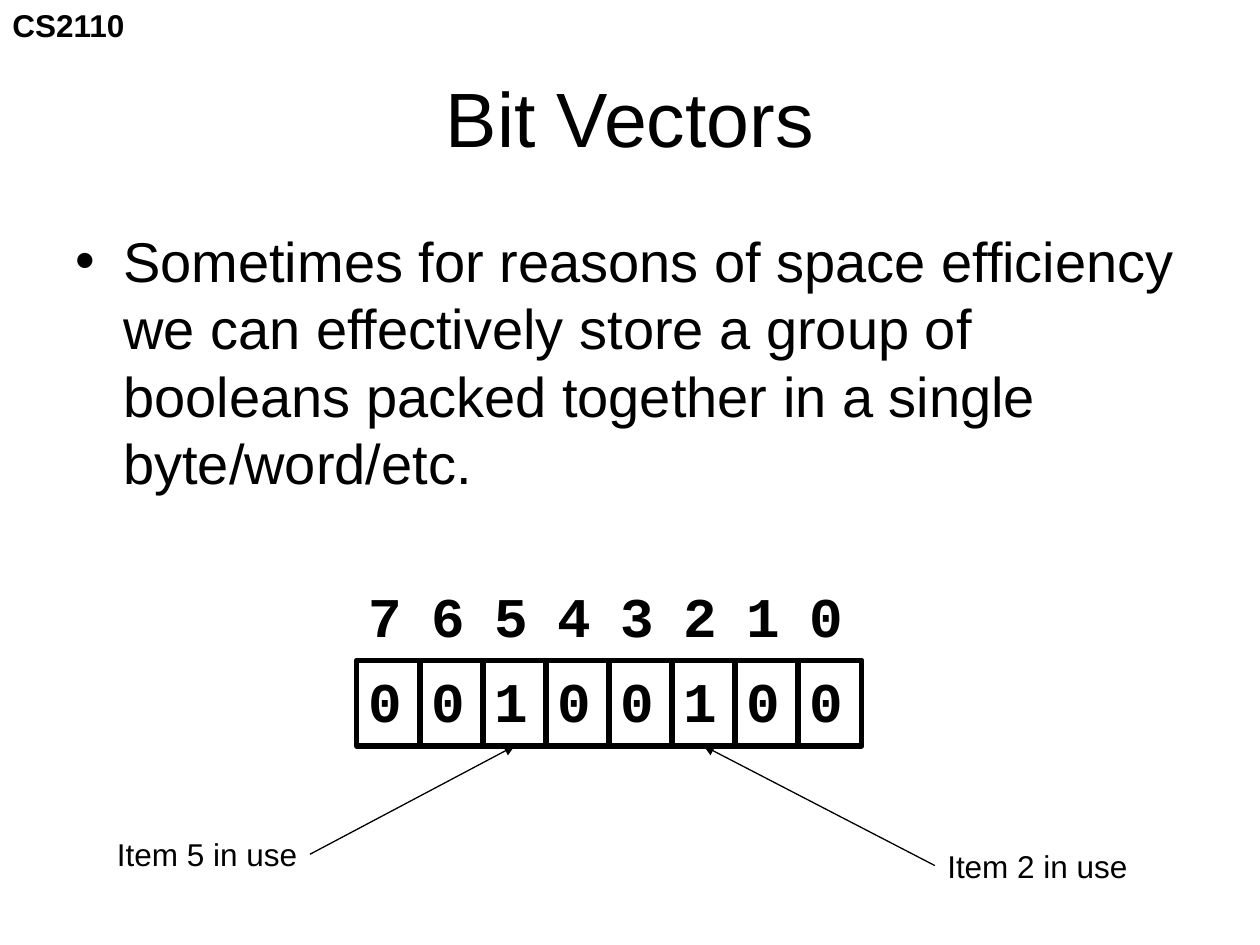
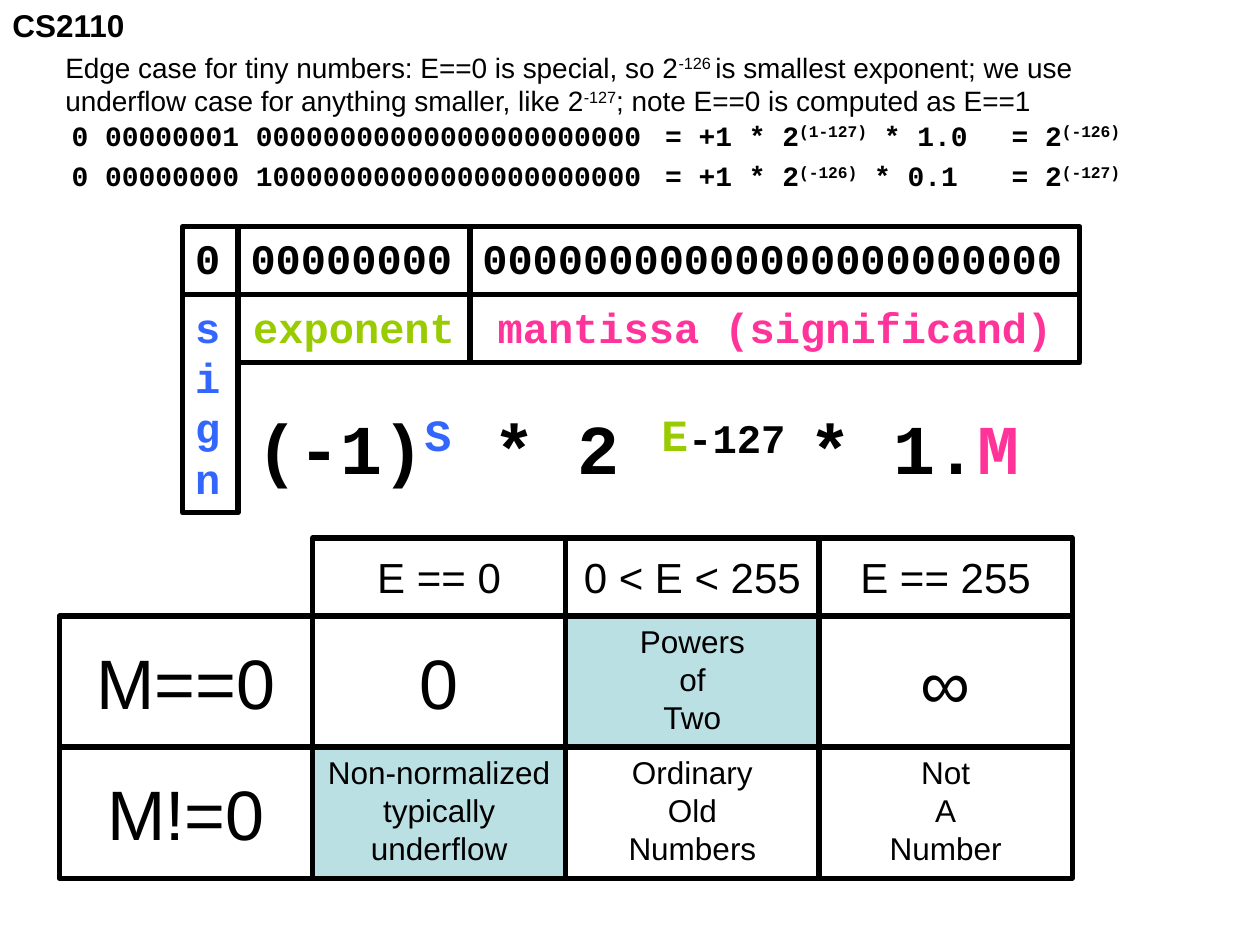
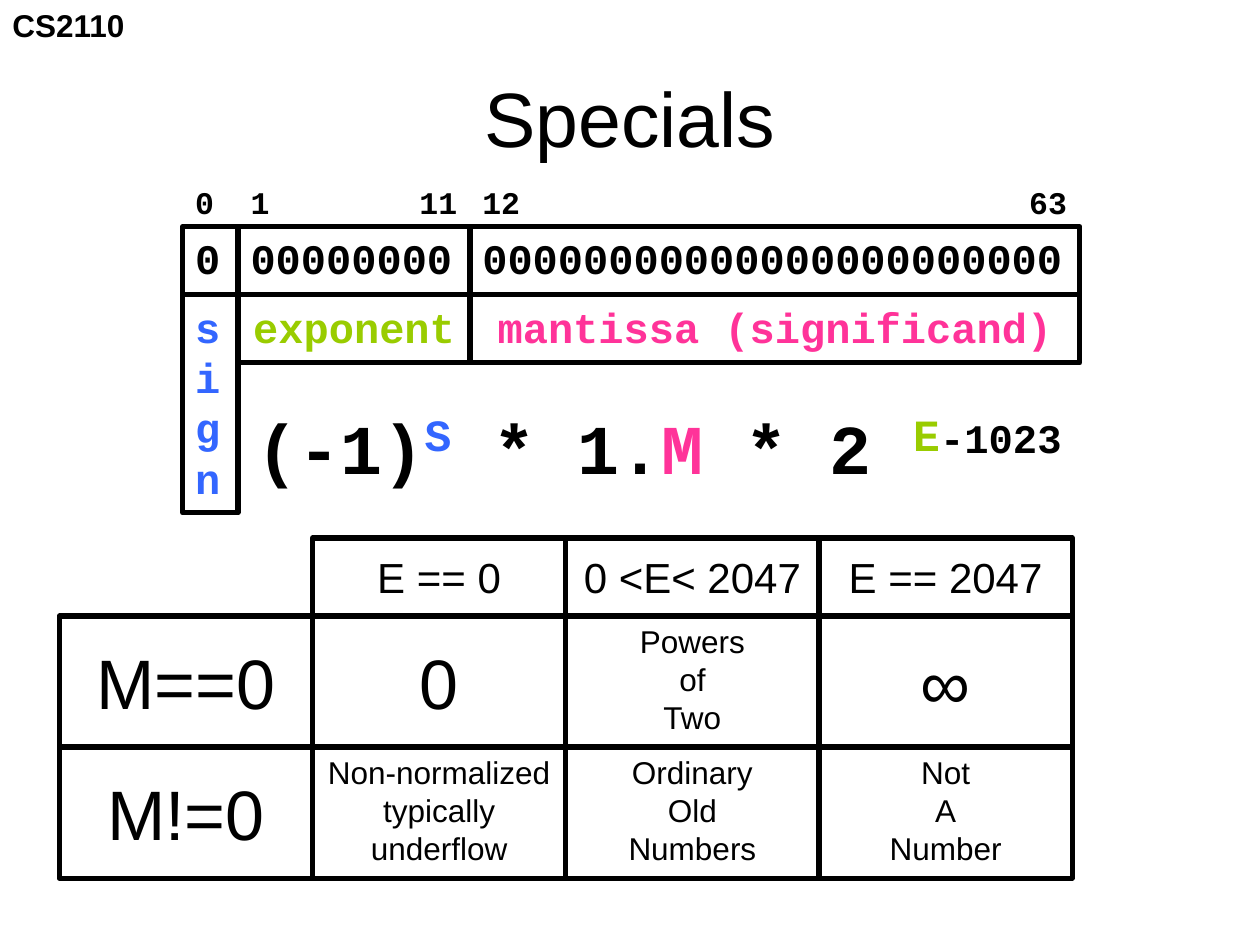
"""Build three lecture slides on bit vectors and floating-point special values."""
from dataclasses import dataclass

from lxml.etree import SubElement
from pptx import Presentation
from pptx.dml.color import RGBColor
from pptx.enum.shapes import MSO_CONNECTOR, MSO_SHAPE
from pptx.enum.text import MSO_ANCHOR, PP_ALIGN
from pptx.oxml.ns import qn
from pptx.util import Inches, Pt


@dataclass(frozen=True)
class Theme:
    ink: str = "000000"
    sign: str = "3366FF"
    exponent: str = "99CC00"
    mantissa: str = "FF3399"
    highlight: str = "BBE0E3"
    sans: str = "Arial"
    mono: str = "Courier New"
    title: int = 44
    formula: int = 40
    body: int = 32
    field: int = 24
    label: int = 18
    note: int = 16
    border: int = 3


theme = Theme()


def write(shape, lines, size, font=theme.sans, color=theme.ink, bold=False,
          align=PP_ALIGN.LEFT, anchor=MSO_ANCHOR.TOP, wrap=False, gap=0, tab=None, bullet=None):
    """Fill a shape with lines; a line is a string or a list of (text, run options)."""
    frame = shape.text_frame
    frame.word_wrap = wrap
    frame.vertical_anchor = anchor
    for number, line in enumerate(lines):
        paragraph = frame.paragraphs[0] if number == 0 else frame.add_paragraph()
        paragraph.alignment = align
        if number and gap:
            paragraph.space_before = Pt(gap)
        properties = paragraph._p.get_or_add_pPr()
        if bullet:
            properties.set("marL", str(Inches(0.38)))
            properties.set("indent", str(-Inches(0.38)))
            SubElement(properties, qn("a:buFont"), typeface=theme.sans)
            SubElement(properties, qn("a:buChar"), char=bullet)
        if tab:
            stops = SubElement(properties, qn("a:tabLst"))
            SubElement(stops, qn("a:tab"), pos=str(Inches(tab)), algn="r")
        paragraph.font.name = font
        paragraph.font.bold = bold
        runs = [(line, {})] if isinstance(line, str) else line
        if not any("size" in options for _, options in runs):
            paragraph.font.size = Pt(size)
        if not any("color" in options for _, options in runs):
            paragraph.font.color.rgb = RGBColor.from_string(color)
        for text, options in runs:
            run = paragraph.add_run()
            run.text = text
            if paragraph.font.size is None:
                run.font.size = Pt(options.get("size", size))
            if paragraph.font.color.type is None:
                run.font.color.rgb = RGBColor.from_string(options.get("color", color))
            if options.get("raised"):
                run._r.get_or_add_rPr().set("baseline", "30000")


def place(slide, at, lines, size, outlined=False, fill=None, **style):
    """Add a text box, or an outlined rectangle, holding the lines."""
    left, top, width, height = map(Inches, at)
    if outlined:
        shape = slide.shapes.add_shape(MSO_SHAPE.RECTANGLE, left, top, width, height)
        shape.shadow.inherit = False
        shape.line.color.rgb = RGBColor.from_string(theme.ink)
        shape.line.width = Pt(theme.border)
        if fill:
            shape.fill.solid()
            shape.fill.fore_color.rgb = RGBColor.from_string(fill)
        else:
            shape.fill.background()
    else:
        shape = slide.shapes.add_textbox(left, top, width, height)
    write(shape, lines, size, **style)
    return shape


prs = Presentation()
prs.slide_width, prs.slide_height = Inches(10), Inches(7.5)
title_only, blank = prs.slide_layouts[5], prs.slide_layouts[6]

slides = []
for heading in ("Bit Vectors", None, "Specials"):
    slide = prs.slides.add_slide(title_only if heading else blank)
    slides.append(slide)
    if heading:
        title = slide.shapes.title
        title.left, title.top, title.width, title.height = map(Inches, (0.5, 0.3, 9, 1.25))
        write(title, [heading], theme.title, align=PP_ALIGN.CENTER,
              anchor=MSO_ANCHOR.MIDDLE, wrap=True)
vectors, edge_case, specials = slides

course = place(vectors, (0, 0, 1.1, 0.4), ["CS2110"], theme.label, bold=True)
prs.slide_master.shapes._spTree.append(course._element)

place(vectors, (0.5, 1.75, 9, 2.42),
      ["Sometimes for reasons of space efficiency we can effectively store a group of "
       "booleans packed together in a single byte/word/etc."],
      theme.body, wrap=True, bullet="•")

bits = {}
for column, bit in enumerate("00100100"):
    position = 7 - column
    left = 2.83 + 0.5 * column
    bits[position] = place(vectors, (left, 5.24, 0.51, 0.68), [bit], theme.body,
                           outlined=True, font=theme.mono, bold=True)
    place(vectors, (left, 4.57, 0.47, 0.63), [str(position)], theme.body,
          font=theme.mono, bold=True)

for position, left, top, label_side in ((2, 7.42, 6.67, 1), (5, 0.83, 6.58, 3)):
    usage = place(vectors, (left, top, 1.63, 0.4), [f"Item {position} in use"], theme.label)
    pointer = vectors.shapes.add_connector(MSO_CONNECTOR.STRAIGHT, 0, 0, 0, 0)
    pointer.begin_connect(usage, label_side)
    pointer.end_connect(bits[position], 2)
    pointer.line.color.rgb = RGBColor.from_string(theme.ink)
    pointer.line.width = Pt(0.75)
    SubElement(pointer.line._get_or_add_ln(), qn("a:tailEnd"), type="triangle")
    SubElement(pointer._element.spPr, qn("a:effectLst"))

sign_power = [("(-1)", {}), ("S", {"size": 44, "color": theme.sign, "raised": True})]
exponent_power = ("E", {"size": 44, "color": theme.exponent, "raised": True})
mantissa_factor = ("M", {"color": theme.mantissa})
single_formula = sign_power + [(" * 2 ", {}), exponent_power, ("-127 ", {"raised": True}),
                               ("* 1.", {}), mantissa_factor]
double_formula = sign_power + [(" * 1.", {}), mantissa_factor, (" * 2 ", {}), exponent_power,
                               ("-1023", {"raised": True})]

fields = (
    (1.45, 0.44, "0", list("sign"), 1.73, theme.sign, PP_ALIGN.LEFT),
    (1.89, 1.84, "0" * 8, ["exponent"], 0.54, theme.exponent, PP_ALIGN.CENTER),
    (3.73, 4.84, "0" * 23, ["mantissa (significand)"], 0.54, theme.mantissa, PP_ALIGN.CENTER),
)
rows = ((4.27, 0.62), (4.89, 1.04), (5.93, 1.04))

for slide, formula, formula_width, middle, largest, fill in (
        (edge_case, single_formula, 6.48, "0 < E < 255", "E == 255", theme.highlight),
        (specials, double_formula, 6.81, "0 <E< 2047", "E == 2047", None)):
    for left, width, digits, name, name_height, color, align in fields:
        place(slide, (left, 1.8, width, 0.54), [digits], theme.field,
              outlined=True, font=theme.mono, bold=True)
        place(slide, (left, 2.34, width, name_height), name, theme.field,
              outlined=True, font=theme.mono, bold=True, color=color, align=align)
    place(slide, (1.94, 3.11, formula_width, 0.77), [formula], theme.formula,
          font=theme.mono, bold=True)

    cases = (
        (None, ["E == 0"], [middle], [largest]),
        (["M==0"], ["0"], ["Powers", "of", "Two"], ["∞"]),
        (["M!=0"], ["Non-normalized", "typically", "underflow"],
         ["Ordinary", "Old", "Numbers"], ["Not", "A", "Number"]),
    )
    for row, (top, height) in enumerate(rows):
        for column, case in enumerate(cases[row]):
            if case is None:
                continue
            several = len(case) > 1
            size = theme.label if several else theme.formula if row else theme.field
            place(slide, (0.47 + 2.01 * column, top, 2.01, height), case, size, outlined=True,
                  fill=fill if (row, column) in ((1, 2), (2, 1)) else None,
                  align=PP_ALIGN.CENTER,
                  anchor=MSO_ANCHOR.TOP if several else MSO_ANCHOR.MIDDLE)

examples = (
    (0.47, 4.75, ["0 00000001 00000000000000000000000", "0 00000000 10000000000000000000000"]),
    (5.18, 2.72, [[("= +1 * 2", {}), ("(1-127)", {"raised": True}), (" * 1.0", {})],
                  [("= +1 * 2", {}), ("(-126)", {"raised": True}), (" * 0.1", {})]]),
    (7.93, 1.15, [[("= 2", {}), ("(-126)", {"raised": True})],
                  [("= 2", {}), ("(-127)", {"raised": True})]]),
)
for left, width, lines in examples:
    place(edge_case, (left, 0.89, width, 0.69), lines, theme.note,
          font=theme.mono, bold=True, gap=3.8)

place(edge_case, (0.42, 0.35, 8.75, 0.64),
      [[("Edge case for tiny numbers: E==0 is special, so 2", {}),
        ("-126 ", {"raised": True}),
        ("is smallest exponent; we use underflow case for anything smaller, like 2", {}),
        ("-127", {"raised": True}),
        ("; note E==0 is computed as E==1", {})]],
      theme.note, wrap=True)

for (left, width, *_), bit_range in zip(fields, ("0", "1\t11", "12\t63")):
    place(specials, (left, 1.26, width, 0.54), [bit_range], theme.label, font=theme.mono,
          bold=True, anchor=MSO_ANCHOR.BOTTOM, wrap=True, tab=width - 0.2)

prs.save("out.pptx")
